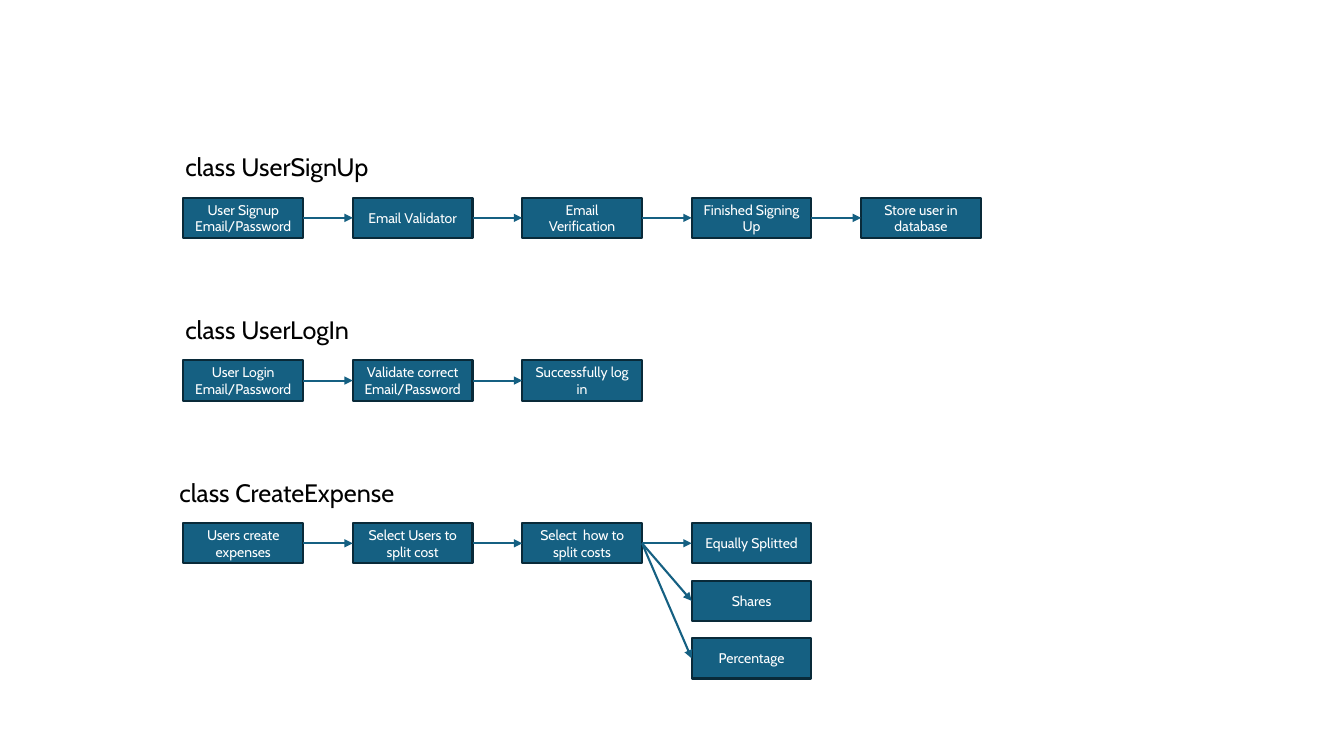
from lxml.etree import SubElement
from pptx import Presentation
from pptx.dml.color import RGBColor
from pptx.enum.shapes import MSO_CONNECTOR as Connector, MSO_SHAPE as Preset
from pptx.enum.text import MSO_ANCHOR as Anchor, MSO_AUTO_SIZE as AutoSize, PP_ALIGN as Align
from pptx.oxml.ns import qn
from pptx.util import Cm, Pt

COLORS = {"box": "156082", "border": "092A39", "label": "FFFFFF", "heading": "000000"}
FONT = "Cabin"
LINE_WIDTH = Pt(1.5)
LEFT_SITE, RIGHT_SITE = 1, 3

BOX_LEFT, BOX_TOP = 4.62, 4.98
BOX_WIDTH, BOX_HEIGHT = 3.02, 1.02
STEP_PITCH, FLOW_PITCH, BRANCH_PITCH = 4.27, 4.1, 1.45
HEADING_RISE = 1.28

FLOWS = [
    ("class UserSignUp", 4.42, 5.38, [
        "User Signup\nEmail/Password", "Email Validator", "Email Verification",
        "Finished Signing Up", "Store user in database"]),
    ("class UserLogIn", 4.42, 4.9, [
        "User Login\nEmail/Password", "Validate correct\nEmail/Password",
        "Successfully log in"]),
    ("class CreateExpense", 4.27, 6.32, [
        "Users create expenses", "Select Users to split cost",
        "Select  how to split costs", "Equally Splitted"]),
]
BRANCHES = ["Shares", "Percentage"]


def color(name):
    return RGBColor.from_string(COLORS[name])


def apply(target, values):
    for name, value in values.items():
        setattr(target, name, value)


def write_text(shape, text, size, color_name, alignment, frame_values):
    frame = shape.text_frame
    frame.text = text
    apply(frame, frame_values)
    for paragraph in frame.paragraphs:
        paragraph.alignment = alignment
        apply(paragraph.font, {"name": FONT, "size": Pt(size)})
        paragraph.font.color.rgb = color(color_name)


def add_heading(slide, text, left, top, width):
    shape = slide.shapes.add_textbox(Cm(left), Cm(top), Cm(width), Cm(BOX_HEIGHT))
    write_text(shape, text, 18, "heading", Align.LEFT,
               {"word_wrap": False, "auto_size": AutoSize.SHAPE_TO_FIT_TEXT})


def add_box(slide, text, column, top):
    left = BOX_LEFT + column * STEP_PITCH
    shape = slide.shapes.add_shape(
        Preset.RECTANGLE, Cm(left), Cm(top), Cm(BOX_WIDTH), Cm(BOX_HEIGHT))
    shape.shadow.inherit = False
    shape.fill.solid()
    shape.fill.fore_color.rgb = color("box")
    shape.line.color.rgb = color("border")
    shape.line.width = LINE_WIDTH
    write_text(shape, text, 10, "label", Align.CENTER,
               {"word_wrap": True, "vertical_anchor": Anchor.MIDDLE})
    return shape


def add_arrow(slide, source, target):
    arrow = slide.shapes.add_connector(Connector.STRAIGHT, 0, 0, 0, 0)
    arrow.begin_connect(source, RIGHT_SITE)
    arrow.end_connect(target, LEFT_SITE)
    arrow.line.color.rgb = color("box")
    arrow.line.width = LINE_WIDTH
    SubElement(arrow.line._get_or_add_ln(), qn("a:tailEnd"), type="triangle")
    SubElement(arrow._element.spPr, qn("a:effectLst"))


def add_flow(slide, steps, top):
    boxes = [add_box(slide, text, column, top) for column, text in enumerate(steps)]
    for source, target in zip(boxes, boxes[1:]):
        add_arrow(slide, source, target)
    return boxes


def main():
    presentation = Presentation()
    apply(presentation, {"slide_width": Cm(33.87), "slide_height": Cm(19.05)})
    slide = presentation.slides.add_slide(presentation.slide_layouts[6])

    for row, (heading, left, width, steps) in enumerate(FLOWS):
        top = BOX_TOP + row * FLOW_PITCH
        add_heading(slide, heading, left, top - HEADING_RISE, width)
        boxes = add_flow(slide, steps, top)

    split_choice, first_option = boxes[-2:]
    option_column = len(boxes) - 1
    for number, text in enumerate(BRANCHES, start=1):
        option = add_box(slide, text, option_column, top + number * BRANCH_PITCH)
        add_arrow(slide, split_choice, option)

    presentation.save("out.pptx")


if __name__ == "__main__":
    main()
